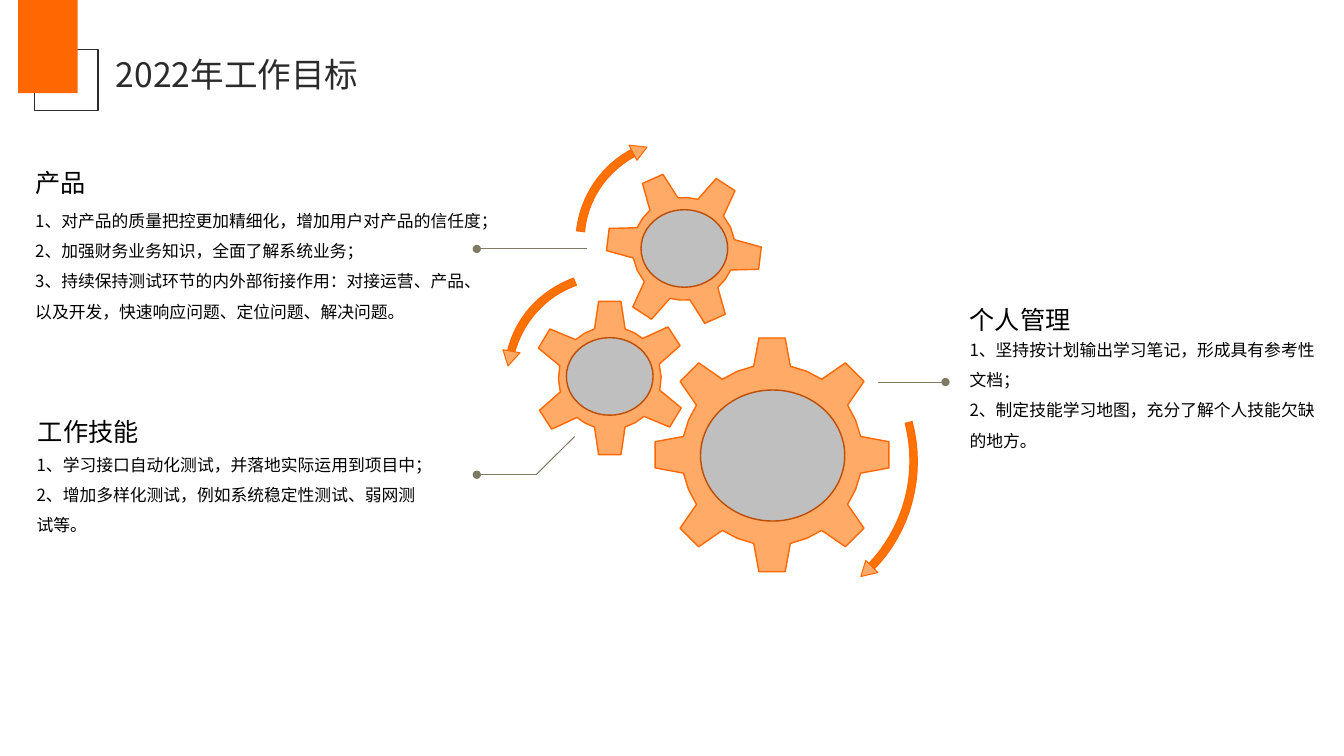
from math import cos, radians, sin

from lxml import etree
from pptx import Presentation
from pptx.dml.color import RGBColor
from pptx.enum.shapes import MSO_CONNECTOR as CONN, MSO_SHAPE as SHAPE
from pptx.enum.text import MSO_ANCHOR as ANCHOR
from pptx.oxml.ns import qn
from pptx.util import Pt

FONT = "Noto Sans CJK SC"
BLACK = RGBColor(0x00, 0x00, 0x00)
DARK = RGBColor(0x2B, 0x2B, 0x2B)
ORANGE = RGBColor(0xFF, 0x68, 0x00)
ARC_ORANGE = RGBColor(0xFF, 0x72, 0x00)
PEACH = RGBColor(0xFF, 0xAA, 0x66)
GRAY = RGBColor(0xBF, 0xBF, 0xBF)
BROWN = RGBColor(0xBD, 0x4D, 0x00)
OLIVE = RGBColor(0x7F, 0x7A, 0x63)

prs = Presentation()
prs.slide_width, prs.slide_height = Pt(960), Pt(540)
s = prs.slides.add_slide(prs.slide_layouts[6])


def add_text(text, x, y, w, h, size=12, color=BLACK, spacing=1.0, anchor=ANCHOR.TOP):
    tf = s.shapes.add_textbox(Pt(x), Pt(y), Pt(w), Pt(h)).text_frame
    tf.word_wrap = True
    tf.vertical_anchor = anchor
    tf.margin_left = tf.margin_right = tf.margin_top = tf.margin_bottom = 0
    for i, line in enumerate(text.split("\n")):
        p = tf.paragraphs[0] if i == 0 else tf.add_paragraph()
        p.line_spacing = spacing
        r = p.add_run()
        r.text = line
        r.font.name, r.font.size = FONT, Pt(size)
        r.font.color.rgb = color
        etree.SubElement(r.font._element, qn("a:ea"), typeface=FONT)


def add_outline(points, fill, weight):
    """Draw a closed orange-edged polygon through points given in pt."""
    corners = [(Pt(x), Pt(y)) for x, y in points]
    builder = s.shapes.build_freeform(*corners[0])
    builder.add_line_segments(corners[1:], close=True)
    sp = builder.convert_to_shape()
    sp.shadow.inherit = False
    sp.fill.solid()
    sp.fill.fore_color.rgb = fill
    sp.line.color.rgb = ORANGE
    sp.line.width = Pt(weight)


# Corner ornament and title
frame = s.shapes.add_shape(SHAPE.RECTANGLE, Pt(24.5), Pt(35.5), Pt(45.5), Pt(43.5))
frame.shadow.inherit = False
frame.fill.background()
frame.line.color.rgb = DARK
frame.line.width = Pt(1)
block = s.shapes.add_shape(SHAPE.RECTANGLE, Pt(13), 0, Pt(42.5), Pt(66.5))
block.shadow.inherit = False
block.fill.solid()
block.fill.fore_color.rgb = ORANGE
block.line.fill.background()
add_text("2022年工作目标", 82.8, 38.2, 176.4, 28.8, size=24, color=DARK)

# Goal sections: heading, heading x, y; body x, y, width, height, text
sections = [
    ("工作技能", 27, 300.2, 26.2, 317.5, 278, 67.7,
     "1、学习接口自动化测试，并落地实际运用到项目中；\n"
     "2、增加多样化测试，例如系统稳定性测试、弱网测试等。"),
    ("个人管理", 692.6, 220.3, 692.6, 235.4, 251.3, 76.3,
     "1、坚持按计划输出学习笔记，形成具有参考性文档；\n"
     "2、制定技能学习地图，充分了解个人技能欠缺的地方。"),
    ("产品", 25.2, 122.4, 25.2, 143.3, 324, 76.3,
     "1、对产品的质量把控更加精细化，增加用户对产品的信任度；\n"
     "2、加强财务业务知识，全面了解系统业务；\n"
     "3、持续保持测试环节的内外部衔接作用：对接运营、产品、以及开发，快速响应问题、定位问题、解决问题。"),
]
for heading, hx, hy, x, y, w, h, body in sections:
    add_text(heading, hx, hy, 144.7, 20.9, size=18, spacing=0.7, anchor=ANCHOR.MIDDLE)
    add_text(body, x, y, w, h, spacing=1.5)

# Gears: centre, tip and root radius, tip and root half angle, tooth angles from top
small_teeth = [0, 57, 121, 180, 237, 301]
gears = [
    (551.5, 324.9, 84, 64.6, 6.4, 11.7, [45 * i for i in range(8)]),
    (435.6, 270, 55.3, 36.7, 8.3, 17.3, small_teeth),
    (488.5, 177.8, 55.3, 36.7, 8.3, 17.3, [a - 24 for a in small_teeth]),
]
for cx, cy, tip, root, tip_half, root_half, teeth in gears:
    polar = []
    for tooth, following in zip(teeth, teeth[1:] + [teeth[0] + 360]):
        polar += [(root, tooth - root_half), (tip, tooth - tip_half),
                  (tip, tooth + tip_half), (root, tooth + root_half),
                  (root, (tooth + following) / 2)]
    add_outline([(cx + r * sin(radians(a)), cy - r * cos(radians(a))) for r, a in polar],
                PEACH, 1)

# Curved arrows: the two Bézier edges of the band, then the head
arrows = [
    ([(619.2, 403.9), (645.8, 377.3), (655.9, 338.4), (646.6, 302.4)],
     [(651.6, 301), (661.7, 339.1), (650.9, 380.2), (623.5, 407.5)],
     [(627.1, 409), (614.9, 411.8), (618.5, 400.3)]),
    ([(362.2, 252), (367.9, 226.8), (385.9, 207.4), (409.7, 198.7)],
     [(411.8, 203.8), (389.5, 211.7), (373, 230.4), (367.2, 253.4)],
     [(371.5, 252), (362.9, 261.4), (359.3, 249.8)]),
    ([(411.8, 164.9), (414.7, 139.7), (429.8, 117.4), (452.9, 105.8)],
     [(455, 110.9), (434.2, 121.7), (419.8, 141.8), (417.6, 165.6)],
     [(449.3, 103.7), (462.2, 105.1), (455, 114.5)]),
]
STEPS = 16
for *edges, head in arrows:
    band = []
    for edge in edges:
        for i in range(STEPS + 1):
            t = i / STEPS
            weights = ((1 - t) ** 3, 3 * t * (1 - t) ** 2, 3 * t * t * (1 - t), t ** 3)
            band.append([sum(k * v for k, v in zip(weights, axis)) for axis in zip(*edge)])
    add_outline(band, ARC_ORANGE, 0.75)
    add_outline(head, PEACH, 0.75)

# Leader lines, dotted at the text end
leaders = [
    (410.4, 311.8, 383, 339.1, False),
    (383, 339.1, 340.6, 339.1, True),
    (627.1, 272.9, 675.4, 272.9, True),
    (419, 177.8, 340.6, 177.8, True),
]
for x1, y1, x2, y2, dotted in leaders:
    leader = s.shapes.add_connector(CONN.STRAIGHT, Pt(x1), Pt(y1), Pt(x2), Pt(y2))
    leader.line.color.rgb = OLIVE
    leader.line.width = Pt(0.75)
    if dotted:
        etree.SubElement(leader.line._get_or_add_ln(), qn("a:tailEnd"), type="oval")
    etree.SubElement(leader._element.spPr, qn("a:effectLst"))

# Gear hubs
hubs = [(500.4, 278.6, 103, 93.6), (457.9, 149.8, 61.9, 55.4), (404.6, 241.2, 61.9, 55.4)]
for x, y, w, h in hubs:
    hub = s.shapes.add_shape(SHAPE.OVAL, Pt(x), Pt(y), Pt(w), Pt(h))
    hub.shadow.inherit = False
    hub.fill.solid()
    hub.fill.fore_color.rgb = GRAY
    hub.line.color.rgb = BROWN
    hub.line.width = Pt(1)

prs.save("out.pptx")
